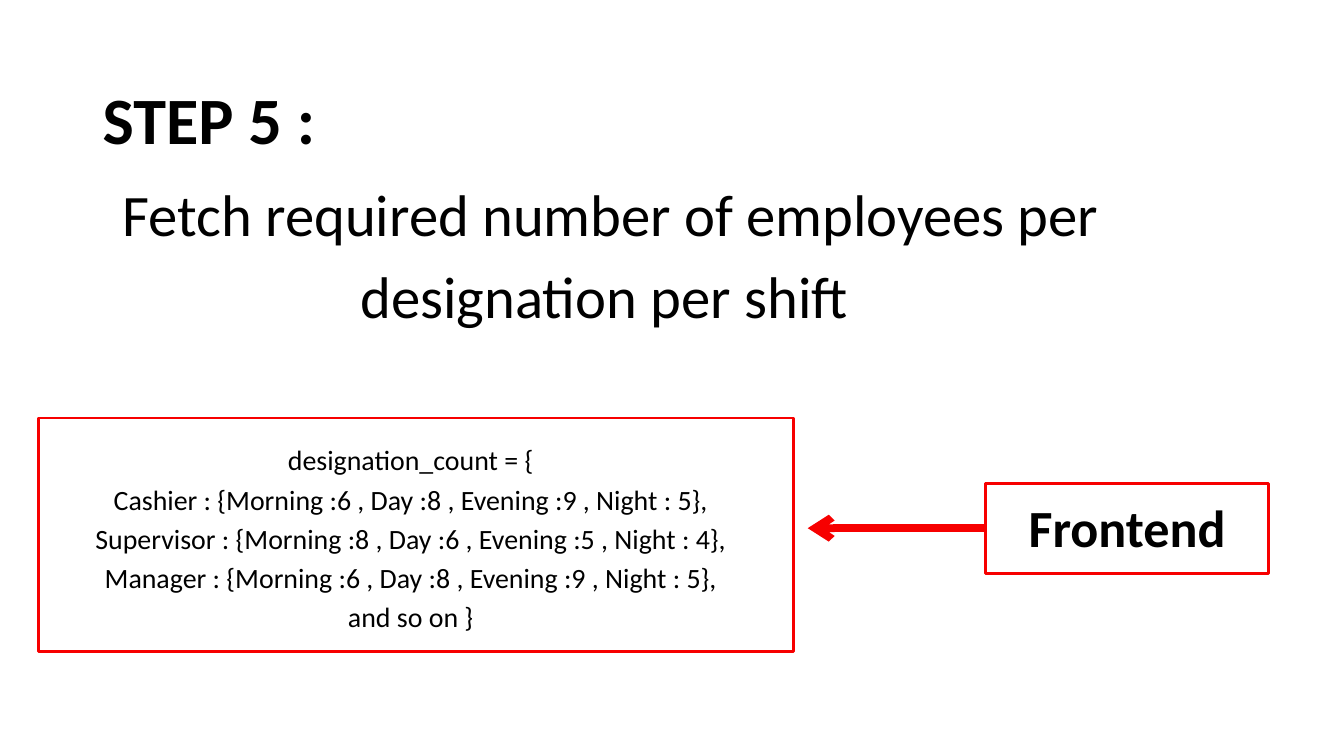
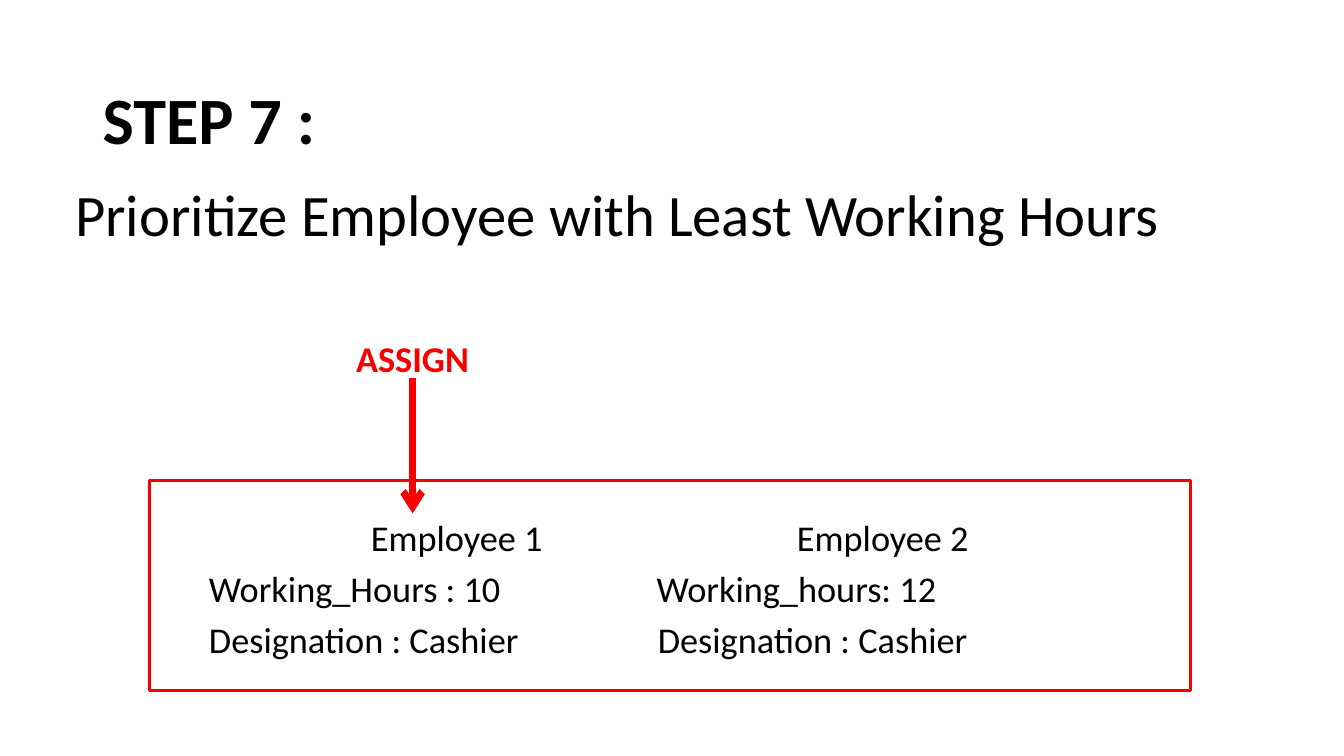
import pptx
import pptx.dml.color
import pptx.enum.shapes
import pptx.enum.text
import pptx.oxml
import pptx.oxml.ns
import pptx.util
from lxml import etree

Inches, Pt = pptx.util.Inches, pptx.util.Pt
ALIGN = pptx.enum.text.PP_ALIGN
FONT, BLACK, WHITE, RED = "Calibri", "000000", "FFFFFF", "F70000"
BOTTOM, LEFT = 2, 1

# Text styles: size and line spacing in points, bold
STEP = (70.9, 99.3, True)
HEADLINE = (62.9, 88.1, False)
SOURCE = (55.9, 78.3, True)
CODE = (29.9, 41.9, False)
EMPLOYEE = (38.9, 54.5, False)
ASSIGN = (38.9, 54.5, True)

DESIGNATION_COUNT = [
    "designation_count = {",
    "Cashier : {Morning :6 , Day :8 , Evening :9 , Night : 5},",
    "Supervisor : {Morning :8 , Day :6 , Evening :5 , Night : 4},",
    "Manager : {Morning :6 , Day :8 , Evening :9 , Night : 5},",
    "and so on }",
]
EMPLOYEES = [
    "\tEmployee 1\tEmployee 2",
    "Working_Hours : 10\tWorking_hours: 12",
    "Designation : Cashier\tDesignation : Cashier",
]
EMPLOYEE_TABS = [(2.41, 8.75), (6.66,), (6.68,)]


def rgb(value):
    return pptx.dml.color.RGBColor.from_string(value)


def add_tabs(p, stops):
    """Give a paragraph left tab stops, in inches."""
    tabs = etree.SubElement(p._p.get_or_add_pPr(), pptx.oxml.ns.qn("a:tabLst"))
    for stop in stops:
        etree.SubElement(tabs, pptx.oxml.ns.qn("a:tab"), pos=str(Inches(stop)), algn="l")


def add_text(s, box, lines, style, align=ALIGN.CENTER, color=BLACK, tabs=()):
    size, spacing, bold = style
    sp = s.shapes.add_textbox(*map(Inches, box))
    tf = sp.text_frame
    tf.word_wrap = True
    tf.margin_left = tf.margin_top = tf.margin_right = tf.margin_bottom = 0
    for i, line in enumerate(lines):
        p = tf.paragraphs[0] if i == 0 else tf.add_paragraph()
        p.text = line
        p.alignment = align
        p.line_spacing = Pt(spacing)
        if tabs:
            add_tabs(p, tabs[i])
        p.font.name, p.font.size, p.font.bold = FONT, Pt(size), bold
        p.font.color.rgb = rgb(color)
    return sp


def add_frame(s, box):
    sp = s.shapes.add_shape(pptx.enum.shapes.MSO_SHAPE.RECTANGLE, *map(Inches, box))
    sp.shadow.inherit = False
    sp.fill.solid()
    sp.fill.fore_color.rgb = rgb(WHITE)
    sp.line.color.rgb = rgb(RED)
    sp.line.width = Pt(3)
    return sp


def add_arrow(s, start, side, end, width):
    """Draw an arrow from the middle of a shape's side to a point."""
    x, y = map(Inches, end)
    line = s.shapes.add_connector(pptx.enum.shapes.MSO_CONNECTOR.STRAIGHT, x, y, x, y)
    line.begin_connect(start, side)
    line.end_x, line.end_y = x, y
    line.line.color.rgb = rgb(RED)
    line.line.width = Pt(width)
    etree.SubElement(line.line._get_or_add_ln(), pptx.oxml.ns.qn("a:tailEnd"), type="arrow")
    etree.SubElement(line._element.spPr, pptx.oxml.ns.qn("a:effectLst"))


def add_step(prs, step, headline, width, align):
    s = prs.slides.add_slide(prs.slide_layouts[6])
    add_text(s, (1.12, 0.97, 3.98, 1.33), [step], STEP)
    add_text(s, (1.12, 2.47, width, 2.41), [headline], HEADLINE, align)
    return s


def build_fetch(prs):
    s = add_step(prs, "STEP 5 :",
                 "Fetch required number of employees per designation per shift ",
                 15.94, ALIGN.CENTER)
    frontend = add_frame(s, (14.66, 7.19, 4.22, 1.34))
    add_arrow(s, frontend, LEFT, (12.02, 7.86), 8.25)
    add_text(s, (15.02, 7.21, 3.51, 1.05), ["Frontend"], SOURCE)
    add_frame(s, (0.57, 6.22, 11.24, 3.47))
    add_text(s, (0.57, 6.51, 11.08, 3), DESIGNATION_COUNT, CODE)


def build_prioritize(prs):
    s = add_step(prs, "STEP 7 :", "Prioritize Employee with Least Working Hours",
                 17.75, ALIGN.LEFT)
    add_frame(s, (2.22, 7.15, 15.5, 3.12))
    add_text(s, (3.11, 7.56, 13.72, 2.23), EMPLOYEES, EMPLOYEE, ALIGN.LEFT,
             tabs=EMPLOYEE_TABS)
    assign = add_text(s, (5.07, 4.9, 2.14, 0.73), ["ASSIGN"], ASSIGN, color=RED)
    add_arrow(s, assign, BOTTOM, (6.14, 7.64), 7.5)


def main():
    prs = pptx.Presentation()
    prs.slide_width, prs.slide_height = Inches(20), Inches(11.25)
    build_fetch(prs)
    build_prioritize(prs)
    prs.save("out.pptx")


if __name__ == "__main__":
    main()
